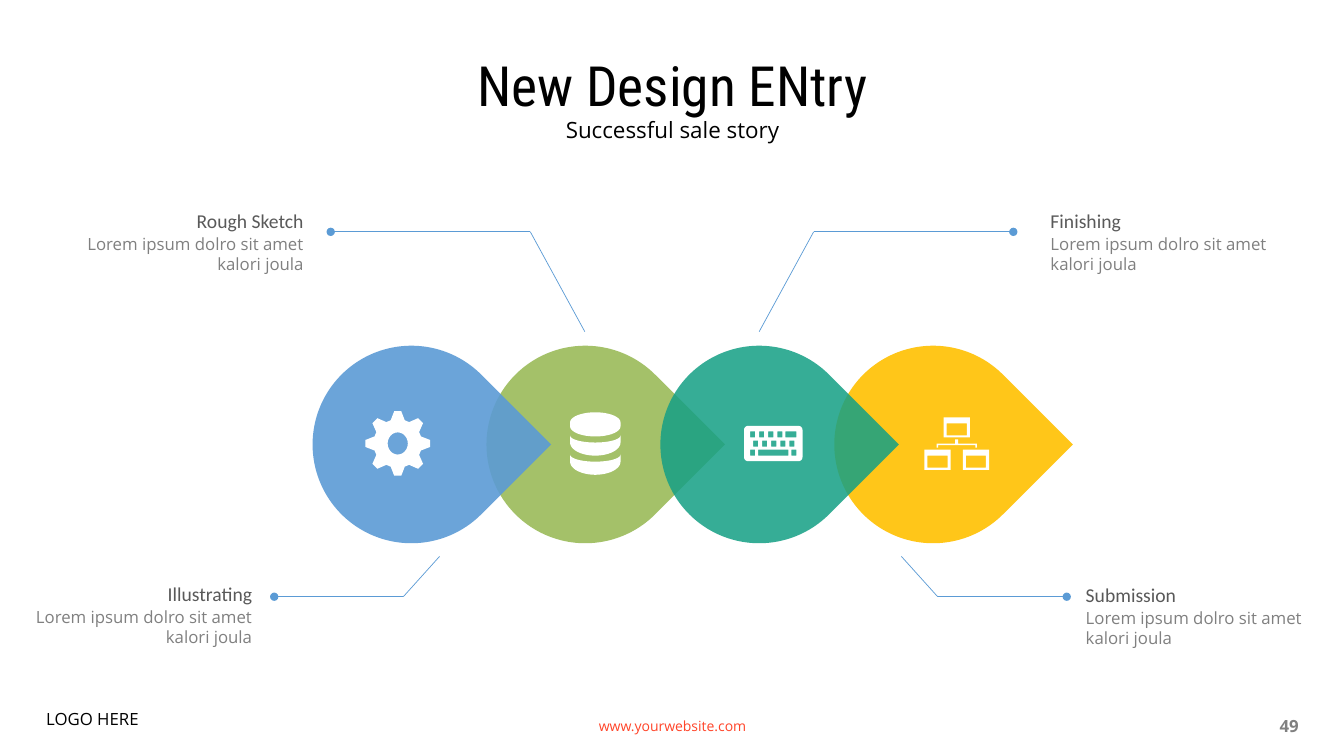
import math

import lxml.etree
import pptx
import pptx.dml.color
import pptx.enum.shapes
import pptx.enum.text
import pptx.oxml.ns
import pptx.util

ALIGN = pptx.enum.text.PP_ALIGN
ANCHOR = pptx.enum.text.MSO_ANCHOR
inch = pptx.util.Inches
qn = pptx.oxml.ns.qn

WIDTH, HEIGHT = 13.33, 7.5
BLUE, WHITE, BLACK, HEADING, BODY, LINK = "5B9BD5", "FFFFFF", "000000", "595959", "808080", "FF4429"
LOREM = "Lorem ipsum dolro sit amet kalori joula"


def color(hex_code):
    return pptx.dml.color.RGBColor.from_string(hex_code)


def paint(shape, hex_code, opacity=100):
    shape.shadow.inherit = False
    shape.fill.solid()
    shape.fill.fore_color.rgb = color(hex_code)
    shape.line.fill.background()
    if opacity < 100:
        tone = shape.fill._xPr.find(qn("a:solidFill"))[0]
        lxml.etree.SubElement(tone, qn("a:alpha")).set("val", str(opacity * 1000))


def write(slide, box, text, size, font, hex_code, align=ALIGN.LEFT,
          anchor=ANCHOR.TOP, spacing=None, bold=False):
    frame = slide.shapes.add_textbox(*map(inch, box)).text_frame
    frame.word_wrap = True
    frame.vertical_anchor = anchor
    paragraph = frame.paragraphs[0]
    paragraph.text = text
    paragraph.alignment = align
    paragraph.line_spacing = spacing
    paragraph.font.size = pptx.util.Pt(size)
    paragraph.font.name = font
    paragraph.font.bold = bold
    paragraph.font.color.rgb = color(hex_code)


def segment(slide, start, end, dotted):
    line = slide.shapes.add_connector(
        pptx.enum.shapes.MSO_CONNECTOR.STRAIGHT, *map(inch, start + end))
    line.line.color.rgb = color(BLUE)
    line.line.width = pptx.util.Pt(0.5)
    if dotted:
        lxml.etree.SubElement(line.line._get_or_add_ln(), qn("a:tailEnd")).set("type", "oval")
    lxml.etree.SubElement(line._element.spPr, qn("a:effectLst"))


def rect(left, top, width, height):
    right, bottom = left + width, top + height
    return [(left, top), (right, top), (right, bottom), (left, bottom)]


def arc(x, y, rx, ry, start, end, steps=24):
    angles = [math.radians(start + (end - start) * i / steps) for i in range(steps + 1)]
    return [(x + rx * math.cos(a), y + ry * math.sin(a)) for a in angles]


def gear():
    outline = []
    for tooth in range(8):
        turn = math.radians(45 * tooth)
        for x, y in [(-0.07, -0.23), (-0.035, -0.32), (0.035, -0.32), (0.07, -0.23)]:
            outline.append((x * math.cos(turn) - y * math.sin(turn),
                            x * math.sin(turn) + y * math.cos(turn)))
    return [outline, arc(0, 0, 0.1, 0.11, 0, 360)]


def database():
    lid = arc(0, -0.21, 0.25, 0.1, 180, 360) + arc(0, -0.17, 0.25, 0.1, 0, 180)
    bands = [arc(0, y, 0.25, 0.07, 180, 0) + arc(0, y + 0.07, 0.25, 0.13, 0, 180)
             for y in (-0.08, 0.11)]
    return [lid] + bands


def keyboard():
    pitch, key, tall = 0.09, 0.05, 0.06
    top, middle, bottom = -0.12, -0.03, 0.06
    corners = [(0.25, 0.135, 0), (-0.25, 0.135, 90), (-0.25, -0.135, 180), (0.25, -0.135, 270)]
    body = [point for x, y, angle in corners
            for point in arc(x, y, 0.04, 0.04, angle, angle + 90, 6)]
    keys = [rect(-0.23 + pitch * i, top, key, tall) for i in range(4)]
    keys += [rect(-0.2 + pitch * i, middle, key, tall) for i in range(5)]
    keys += [rect(0.12, top, 0.11, tall), rect(-0.23, bottom, key, tall),
             rect(-0.15, bottom, 0.3, tall), rect(0.18, bottom, key, tall)]
    return [body] + keys


def network():
    contours = []
    for left, top in [(-0.13, -0.26), (-0.32, 0.06), (0.06, 0.06)]:
        contours += [rect(left, top, 0.26, 0.2), rect(left + 0.03, top + 0.06, 0.2, 0.12)]
    half = [(0.015, -0.04), (0.015, 0), (0.2, 0), (0.2, 0.04), (0.185, 0.04), (0.185, 0.015)]
    return contours + [half + [(-x, y) for x, y in reversed(half)]]


def icon(slide, center, contours):
    placed = [[(inch(center[0] + x), inch(center[1] + y)) for x, y in contour]
              for contour in contours]
    builder = slide.shapes.build_freeform(*placed[0][0])
    for number, contour in enumerate(placed):
        if number:
            builder.move_to(*contour[0])
        builder.add_line_segments(contour[1:], close=True)
    paint(builder.convert_to_shape(), WHITE)


def drop(slide, box, hex_code, opacity):
    shape = slide.shapes.add_shape(pptx.enum.shapes.MSO_SHAPE.TEAR, *map(inch, box))
    shape.rotation = 45
    paint(shape, hex_code, opacity)


def drop_chain(slide, left, top, size):
    pitch = 0.88 * size
    stages = [(BLUE, 90, gear, 0.845), ("9BBB59", 90, database, 1.08),
              ("16A085", 86, keyboard, 1.12), ("FFC000", 90, network, 1.215)]
    for behind in (1, 0):
        layer = [(left + pitch * i, stage) for i, stage in enumerate(stages) if i % 2 == behind]
        for x, (hex_code, opacity, _, _) in layer:
            drop(slide, (x, top, size, size), hex_code, opacity)
        for x, (_, _, draw, offset) in layer:
            icon(slide, (x + offset, top + size / 2 - 0.01), draw())


def callout(slide, box, heading, align, leader):
    left, top, width, height = box
    tip, elbow, dot = leader
    segment(slide, tip, elbow, False)
    segment(slide, elbow, dot, True)
    write(slide, (left, top, width, 0.34), heading, 14, "Calibri", HEADING, align)
    write(slide, (left, top + 0.25, width, height - 0.25), LOREM, 12, "Open Sans", BODY, align)


def header(slide, left, top, width):
    write(slide, (left, top, width, 0.52), "New Design ENtry", 39.6, "Roboto Condensed",
          BLACK, ALIGN.CENTER, ANCHOR.MIDDLE, 0.9)
    write(slide, (left, top + 0.53, width, 0.32), "Successful sale story", 16, "Open Sans",
          BLACK, ALIGN.CENTER, spacing=0.8)


def footer(slide, top, height):
    write(slide, (4.42, top, 4.5, height), "www.yourwebsite.com", 10, "Open Sans",
          LINK, ALIGN.CENTER, ANCHOR.MIDDLE)
    write(slide, (9.83, top, 3.15, height), "49", 12, "Open Sans",
          BODY, ALIGN.RIGHT, ANCHOR.MIDDLE, bold=True)
    write(slide, (0.36, top, 4.17, height), "LOGO HERE", 12, "Open Sans", BLACK, spacing=0.9)


def main():
    deck = pptx.Presentation()
    deck.slide_width, deck.slide_height = inch(WIDTH), inch(HEIGHT)
    slide = deck.slides.add_slide(deck.slide_layouts[6])
    header(slide, 0.92, 0.62, 11.5)
    callouts = [
        ("Rough Sketch", 0.62, 2.02, ALIGN.RIGHT, [(5.8, 3.29), (5.26, 2.3), (3.28, 2.3)]),
        ("Finishing", 10.32, 2.02, ALIGN.LEFT, [(7.53, 3.29), (8.07, 2.3), (10.05, 2.3)]),
        ("Illustrating", 0.11, 5.72, ALIGN.RIGHT, [(4.36, 5.52), (4, 5.92), (2.72, 5.92)]),
        ("Submission", 10.67, 5.73, ALIGN.LEFT, [(8.94, 5.52), (9.3, 5.92), (10.58, 5.92)]),
    ]
    for heading, left, top, align, leader in callouts:
        callout(slide, (left, top, 2.49, 0.75), heading, align, leader)
    drop_chain(slide, 3.1, 3.43, 1.96)
    footer(slide, 7, 0.4)
    deck.save("out.pptx")


if __name__ == "__main__":
    main()
